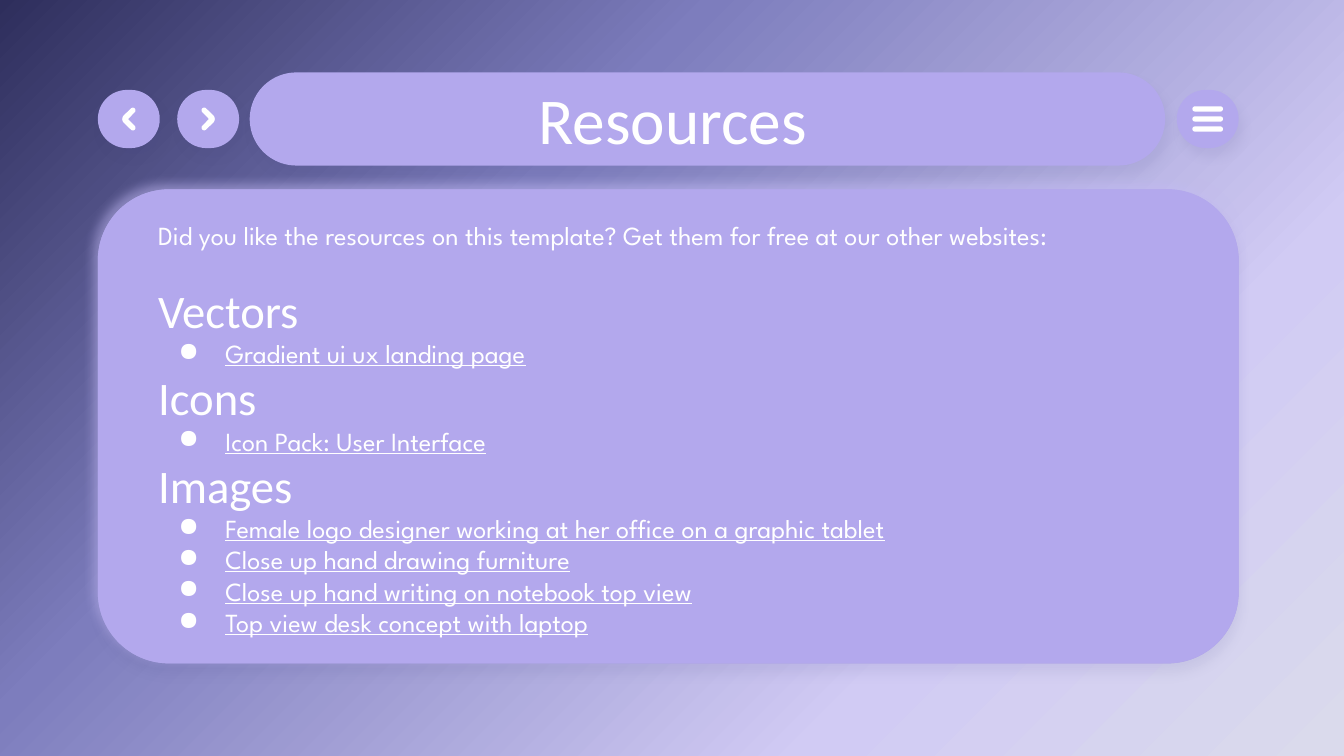
from math import cos, radians, sin

from lxml.etree import SubElement
from pptx import Presentation
from pptx.dml.color import RGBColor
from pptx.enum.shapes import MSO_SHAPE
from pptx.enum.text import MSO_ANCHOR, MSO_AUTO_SIZE, PP_ALIGN
from pptx.oxml.ns import qn
from pptx.util import Cm, Pt

LILAC, WHITE, NAVY, GLOW = "B3A8ED", "FFFFFF", "3E3E7A", "C4BBF5"
BACKDROP = [(0, "2E2E5C"), (34, "7D7DBD"), (74, "D1CBF4"), (100, "DADAEC")]
INTRO = "Did you like the resources on this template? Get them for free at our other websites:"
RESOURCES = {
    "Vectors": ["Gradient ui ux landing page"],
    "Icons": ["Icon Pack: User Interface"],
    "Images": [
        "Female logo designer working at her office on a graphic tablet",
        "Close up hand drawing furniture",
        "Close up hand writing on notebook top view",
        "Top view desk concept with laptop",
    ],
}


def paint(shape, colour):
    """Fill a shape with a plain colour, without line or shadow."""
    shape.shadow.inherit = False
    shape.fill.solid()
    shape.fill.fore_color.rgb = RGBColor.from_string(colour)
    shape.line.fill.background()


def cast_shadow(shape, colour, opacity, distance, angle):
    """Give a shape a soft outer shadow."""
    effects = shape.element.spPr.find(qn("a:effectLst"))
    shadow = SubElement(
        effects, qn("a:outerShdw"), blurRad=str(Pt(5.6)), dist=str(Pt(distance)),
        dir=str(angle * 60000), algn="bl", rotWithShape="0")
    tint = SubElement(shadow, qn("a:srgbClr"), val=colour)
    SubElement(tint, qn("a:alpha"), val=str(opacity * 1000))


def add_pill(slide, box, colour, roundness=0.5):
    """Add a rounded rectangle; the box is in centimetres."""
    pill = slide.shapes.add_shape(MSO_SHAPE.ROUNDED_RECTANGLE, *map(Cm, box))
    pill.adjustments[0] = roundness
    paint(pill, colour)
    return pill


def add_button(slide, box):
    """Add a lilac pill with the usual drop shadow."""
    cast_shadow(add_pill(slide, box, LILAC), NAVY, 8, 5.2, 66)


def add_arrow_button(slide, box, rotation):
    """Add a navigation button with a rounded chevron in its middle."""
    add_button(slide, box)
    left, top, width, height = box
    icon_width, icon_height = 0.25, 0.43
    icon_left = left + (width - icon_width) / 2
    icon_top = top + (height - icon_height) / 2
    cap, tip = 0.05, 0.1
    middle = icon_height / 2
    arcs = [
        (cap, cap, cap, 135, 315),
        (icon_width - tip, middle, tip, -45, 45),
        (cap, icon_height - cap, cap, 45, 225),
    ]
    outline = [
        (Cm(icon_left + x + r * cos(radians(start + (end - start) * step / 12))),
         Cm(icon_top + y + r * sin(radians(start + (end - start) * step / 12))))
        for x, y, r, start, end in arcs for step in range(13)
    ]
    notch = Cm(icon_left + 0.14), Cm(icon_top + middle)
    builder = slide.shapes.build_freeform(*notch)
    builder.add_line_segments(outline, close=True)
    chevron = builder.convert_to_shape()
    chevron.rotation = rotation
    paint(chevron, WHITE)


def add_menu_button(slide, box):
    """Add a button with three white menu bars."""
    add_button(slide, box)
    left, top, width, height = box
    bar_width, bar_height, pitch = 0.58, 0.1, 0.19
    for row in (-1, 0, 1):
        bar_top = top + (height - bar_height) / 2 + row * pitch
        bar_left = left + (width - bar_width) / 2
        add_pill(slide, (bar_left, bar_top, bar_width, bar_height), WHITE)


def style(paragraph, size, font, underline=False):
    """Set the white type of a paragraph."""
    paragraph.font.size = Pt(size)
    paragraph.font.name = font
    paragraph.font.color.rgb = RGBColor.from_string(WHITE)
    paragraph.font.underline = underline


def add_bullet(paragraph):
    """Give a paragraph a white dot and a hanging indent."""
    properties = paragraph._p.get_or_add_pPr()
    properties.set("marL", str(Cm(1.27)))
    properties.set("indent", str(Cm(-0.89)))
    SubElement(SubElement(properties, qn("a:buClr")), qn("a:srgbClr"), val=WHITE)
    SubElement(properties, qn("a:buChar"), char="●")


def prepare_frame(frame):
    """Set wrapping, top anchor and equal margins."""
    frame.word_wrap = True
    frame.auto_size = MSO_AUTO_SIZE.NONE
    frame.vertical_anchor = MSO_ANCHOR.TOP
    frame.margin_left = frame.margin_right = Cm(0.25)
    frame.margin_top = frame.margin_bottom = Cm(0.25)


def add_backdrop(slide):
    """Lay the diagonal gradient over the slide background."""
    slide.background.fill.gradient()
    gradient = next(slide.element.iter(qn("a:gradFill")))
    for child in list(gradient):
        gradient.remove(child)
    stops = SubElement(gradient, qn("a:gsLst"))
    for position, colour in BACKDROP:
        stop = SubElement(stops, qn("a:gs"), pos=str(position * 1000))
        SubElement(stop, qn("a:srgbClr"), val=colour)
    SubElement(gradient, qn("a:lin"), ang=str(45 * 60000), scaled="0")


def add_header(slide, box):
    """Place the navigation buttons, title bar and menu button."""
    left, top, width, height = box
    button_width, button_height = 1.17, 1.1
    button_top = top + (height - button_height) / 2
    for offset, rotation in ((0, 180), (1.5, 0)):
        add_arrow_button(
            slide, (left + offset, button_top, button_width, button_height), rotation)
    add_button(slide, (left + 2.87, top, 17.3, height))
    add_menu_button(
        slide, (left + width - button_width, button_top, button_width, button_height))
    title = slide.shapes.title
    title.left, title.top, title.width, title.height = map(
        Cm, (left + 0.16, top - 0.13, 21.41, 1.6))
    prepare_frame(title.text_frame)
    title.text_frame.text = "Resources"
    heading = title.text_frame.paragraphs[0]
    heading.alignment = PP_ALIGN.CENTER
    style(heading, 35, "Calibri")
    slide.shapes._spTree.append(title.element)


def add_resources(slide, box):
    """Place the panel with the grouped list of resources."""
    left, top, width, height = box
    for shadow in ((GLOW, 52, 3, 226), (NAVY, 8, 5.2, 84)):
        cast_shadow(add_pill(slide, box, LILAC, 0.15), *shadow)
    listing = slide.shapes.add_textbox(
        Cm(left + 0.89), Cm(top + 0.31), Cm(19.91), Cm(height - 0.31))
    frame = listing.text_frame
    prepare_frame(frame)
    intro = frame.paragraphs[0]
    intro.text = INTRO
    intro.space_after = Pt(16.8)
    style(intro, 14, "League Spartan")
    for group, entries in RESOURCES.items():
        heading = frame.add_paragraph()
        heading.text = group
        style(heading, 25, "Calibri")
        for entry in entries:
            item = frame.add_paragraph()
            item.text = entry
            add_bullet(item)
            style(item, 14, "League Spartan", underline=True)


def main():
    """Build the resources slide and save it."""
    deck = Presentation()
    deck.slide_width, deck.slide_height = Cm(25.4), Cm(14.29)
    slide = deck.slides.add_slide(deck.slide_layouts[5])
    add_backdrop(slide)
    add_header(slide, (1.85, 1.37, 21.56, 1.76))
    add_resources(slide, (1.85, 3.58, 21.56, 8.96))
    deck.save("out.pptx")


if __name__ == "__main__":
    main()
